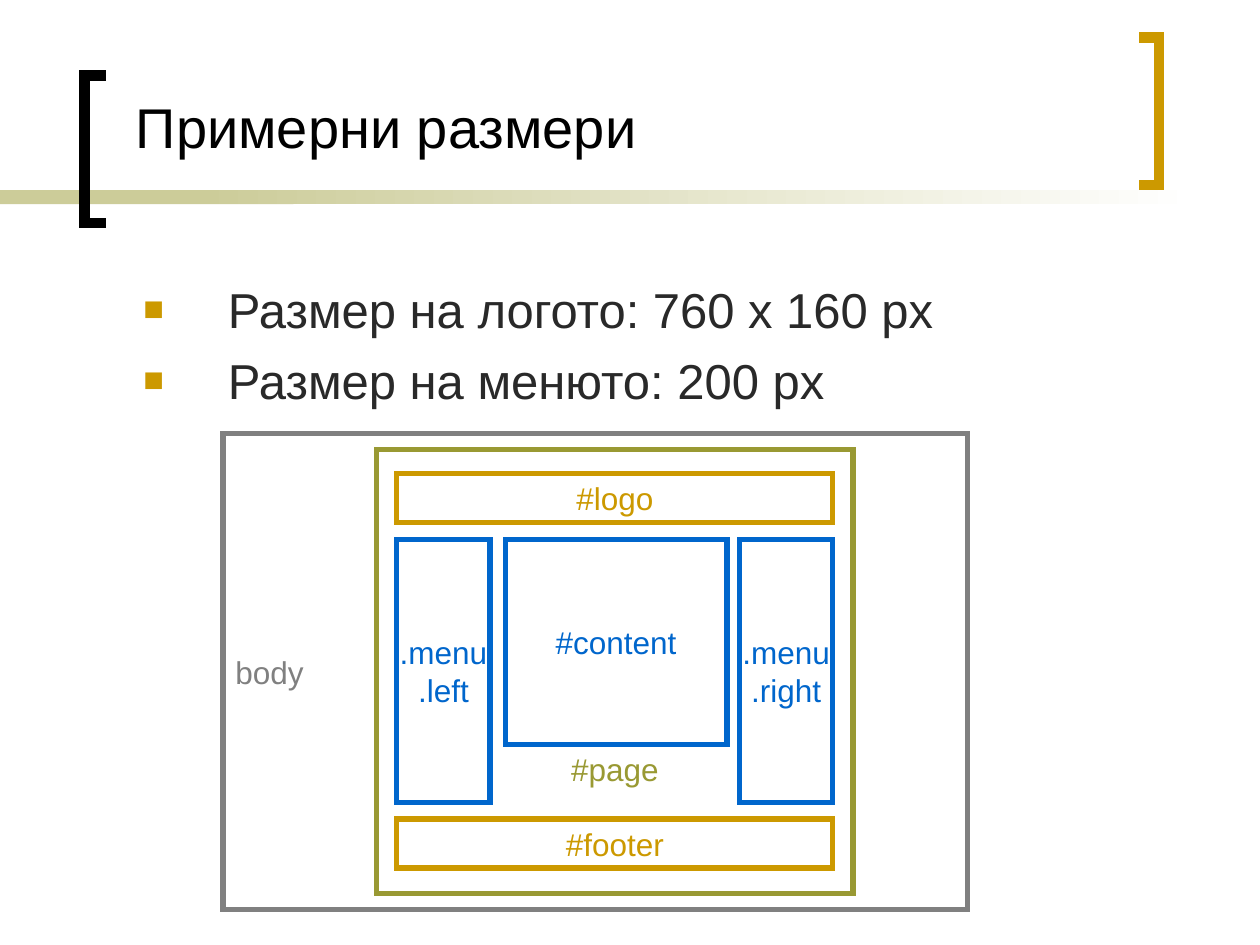
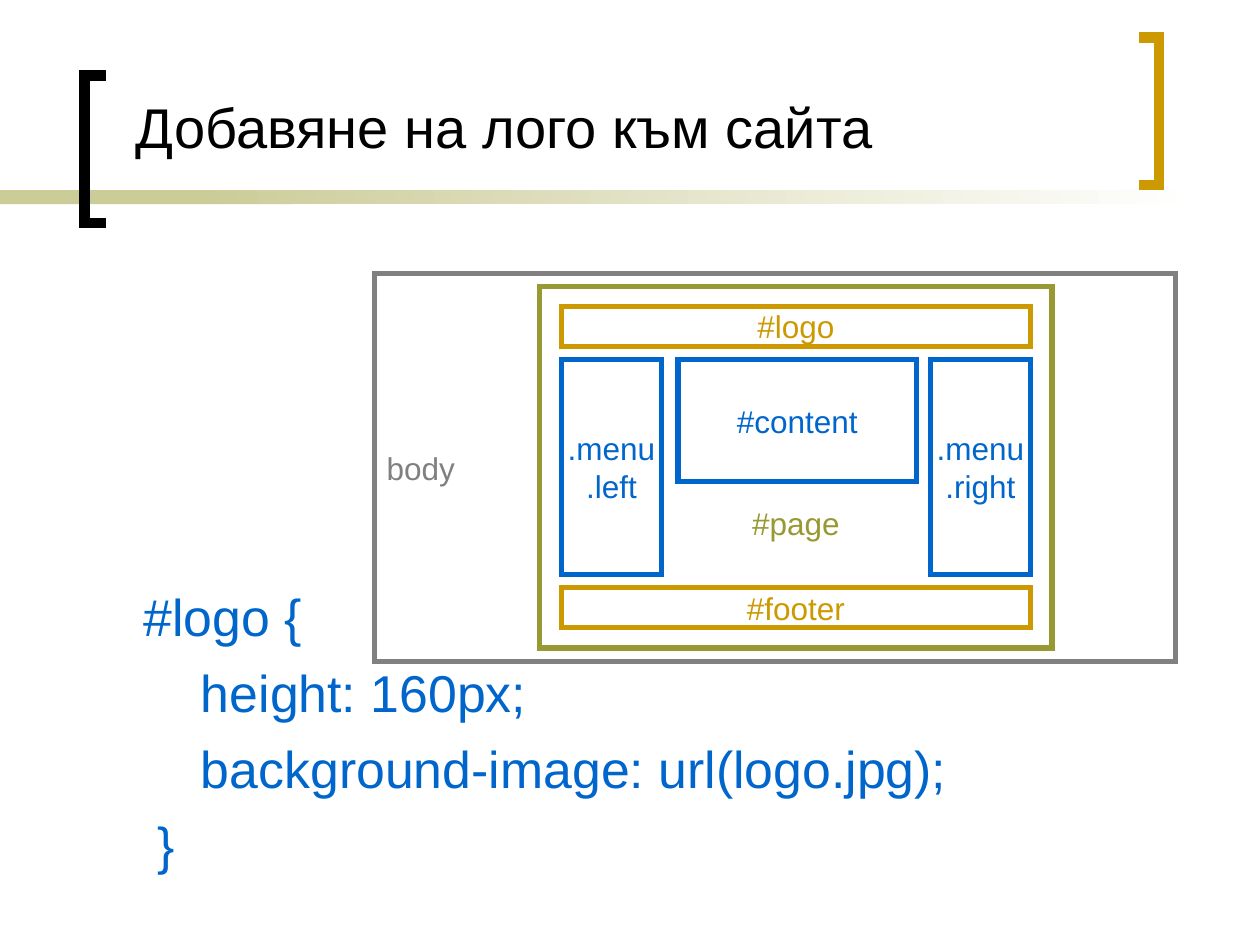
from dataclasses import dataclass

from lxml import etree
from pptx import Presentation
from pptx.dml.color import RGBColor
from pptx.enum.shapes import MSO_SHAPE
from pptx.enum.text import MSO_ANCHOR, PP_ALIGN
from pptx.oxml.ns import qn
from pptx.util import Inches, Pt

RECTANGLE = MSO_SHAPE.RECTANGLE
TOP, MIDDLE, BOTTOM = MSO_ANCHOR.TOP, MSO_ANCHOR.MIDDLE, MSO_ANCHOR.BOTTOM
LEFT, CENTER = PP_ALIGN.LEFT, PP_ALIGN.CENTER

BLACK = RGBColor(0x00, 0x00, 0x00)
WHITE = RGBColor(0xFF, 0xFF, 0xFF)
INK = RGBColor(0x29, 0x29, 0x29)
GRAY = RGBColor(0x80, 0x80, 0x80)
SAND = RGBColor(0xCC, 0xCC, 0x99)
OLIVE = RGBColor(0x99, 0x99, 0x33)
GOLD = RGBColor(0xCC, 0x99, 0x00)
BLUE = RGBColor(0x00, 0x66, 0xCC)

FONT = "Arial"
LINE_HEIGHT = 1.2
BULLET_INDENT = 0.67


@dataclass(frozen=True)
class Box:
    left: float
    top: float
    width: float
    height: float

    def lengths(self) -> list:
        return [Inches(v) for v in (self.left, self.top, self.width, self.height)]


@dataclass(frozen=True)
class Region:
    """A part of the web page layout, placed relative to the body box."""
    label: str
    box: Box
    color: RGBColor
    align: PP_ALIGN = CENTER
    anchor: MSO_ANCHOR = MIDDLE
    bottom_inset: float = 0.05


# Page layout at its reference size; other sizes scale from it
BODY = Box(0, 0, 5.91, 3.78)
CONTENT = "#content"
REGIONS = [
    Region("body", BODY, GRAY, align=LEFT),
    Region("#page", Box(1.22, 0.13, 3.78, 3.52), OLIVE, anchor=BOTTOM, bottom_inset=0.84),
    Region("#logo", Box(1.38, 0.32, 3.46, 0.39), GOLD),
    Region("#footer", Box(1.38, 3.06, 3.46, 0.39), GOLD),
    Region(".menu\n.left", Box(1.38, 0.84, 0.74, 2.09), BLUE),
    Region(".menu\n.right", Box(4.1, 0.84, 0.74, 2.09), BLUE),
    Region(CONTENT, Box(2.24, 0.84, 1.76, 1.63), BLUE),
]

TITLE = Box(0.98, 0.38, 8.03, 0.94)
BRACKETS = [
    ([(0.84, 1.77), (0.67, 1.77), (0.67, 0.6), (0.84, 0.6)], BLACK),
    ([(9.04, 0.3), (9.2, 0.3), (9.2, 1.47), (9.04, 1.47)], GOLD),
]


def add_bullet(paragraph) -> None:
    properties = paragraph._p.get_or_add_pPr()
    properties.set("marL", str(Inches(BULLET_INDENT)))
    properties.set("indent", str(-Inches(BULLET_INDENT)))
    color = etree.SubElement(properties, qn("a:buClr"))
    etree.SubElement(color, qn("a:srgbClr"), val=str(GOLD))
    etree.SubElement(properties, qn("a:buSzPct"), val="70000")
    etree.SubElement(properties, qn("a:buFont"), typeface=FONT)
    etree.SubElement(properties, qn("a:buChar"), char="■")


def write_text(frame, lines: list[str], *, size: float, color: RGBColor,
               align=LEFT, anchor=TOP, wrap: bool = True, space_before: float = 0,
               bulleted: bool = False, bottom_inset: float = 0.05) -> None:
    frame.word_wrap = wrap
    frame.vertical_anchor = anchor
    frame.margin_bottom = Inches(bottom_inset)
    for index, line in enumerate(lines):
        paragraph = frame.add_paragraph() if index else frame.paragraphs[0]
        if bulleted:
            add_bullet(paragraph)
        paragraph.text = line
        paragraph.alignment = align
        paragraph.line_spacing = Pt(size * LINE_HEIGHT)
        paragraph.space_before = Pt(space_before if index else 0)
        for run in paragraph.runs:
            run.font.name = FONT
            run.font.size = Pt(size)
            run.font.color.rgb = color


def add_text(slide, box: Box, lines: list[str], **text_format) -> None:
    write_text(slide.shapes.add_textbox(*box.lengths()).text_frame, lines, **text_format)


def outline(shape, color: RGBColor, width: float) -> None:
    """Leave only a line with square corners."""
    shape.shadow.inherit = False
    shape.fill.background()
    shape.line.color.rgb = color
    shape.line.width = Pt(width)
    etree.SubElement(shape.line._get_or_add_ln(), qn("a:miter"), lim="800000")


def add_band(slide, box: Box):
    band = slide.shapes.add_shape(RECTANGLE, *box.lengths())
    band.shadow.inherit = False
    band.line.fill.background()
    return band.fill


def add_themed_slide(deck, title: str):
    slide = deck.slides.add_slide(deck.slide_layouts[6])
    # Band under the title, fading to the right
    solid = add_band(slide, Box(0, 1.51, 2.33, 0.11))
    solid.solid()
    solid.fore_color.rgb = SAND
    fade = add_band(slide, Box(1.58, 1.51, 7.92, 0.11))
    fade.gradient()
    fade.gradient_angle = 0
    for stop, color in zip(fade.gradient_stops, (SAND, WHITE)):
        stop.color.rgb = color
    # Brackets around the title
    for corners, color in BRACKETS:
        points = [(Inches(x), Inches(y)) for x, y in corners]
        builder = slide.shapes.build_freeform(*points[0])
        builder.add_line_segments(points[1:], close=False)
        outline(builder.convert_to_shape(), color, 6)
    add_text(slide, TITLE, [title], size=32, color=BLACK, anchor=BOTTOM)
    return slide


def add_page_layout(slide, area: Box, content_height: float) -> None:
    scale_x, scale_y = area.width / BODY.width, area.height / BODY.height
    layout = slide.shapes.add_group_shape()
    for region in REGIONS:
        box = region.box
        height = content_height if region.label == CONTENT else box.height * scale_y
        placed = Box(area.left + box.left * scale_x, area.top + box.top * scale_y,
                     box.width * scale_x, height)
        frame = layout.shapes.add_shape(RECTANGLE, *placed.lengths())
        outline(frame, region.color, 3)
        write_text(frame.text_frame, [region.label], size=18, color=region.color,
                   align=region.align, anchor=region.anchor, wrap=False,
                   bottom_inset=region.bottom_inset)


def main() -> None:
    deck = Presentation()
    deck.slide_width, deck.slide_height = Inches(10), Inches(7.5)

    # Sizes of the page parts
    sizes = add_themed_slide(deck, "Примерни размери")
    add_text(sizes, Box(1.04, 2.17, 8.61, 4.5),
             ["Размер на логото: 760 х 160 px", "Размер на менюто: 200 px"],
             size=28, color=INK, space_before=7, bulleted=True)
    add_page_layout(sizes, Box(1.77, 3.44, 5.91, 3.78), content_height=1.63)

    # Style rule for the logo
    logo = add_themed_slide(deck, "Добавяне на лого към сайта")
    add_text(logo, Box(1.04, 4.59, 8.61, 2.43),
             ["#logo {", "    height: 160px;", "    background-image: url(logo.jpg);", " }"],
             size=29.6, color=BLUE, space_before=8)
    add_page_layout(logo, Box(2.97, 2.17, 6.36, 3.08), content_height=0.97)

    deck.save("out.pptx")


if __name__ == "__main__":
    main()
